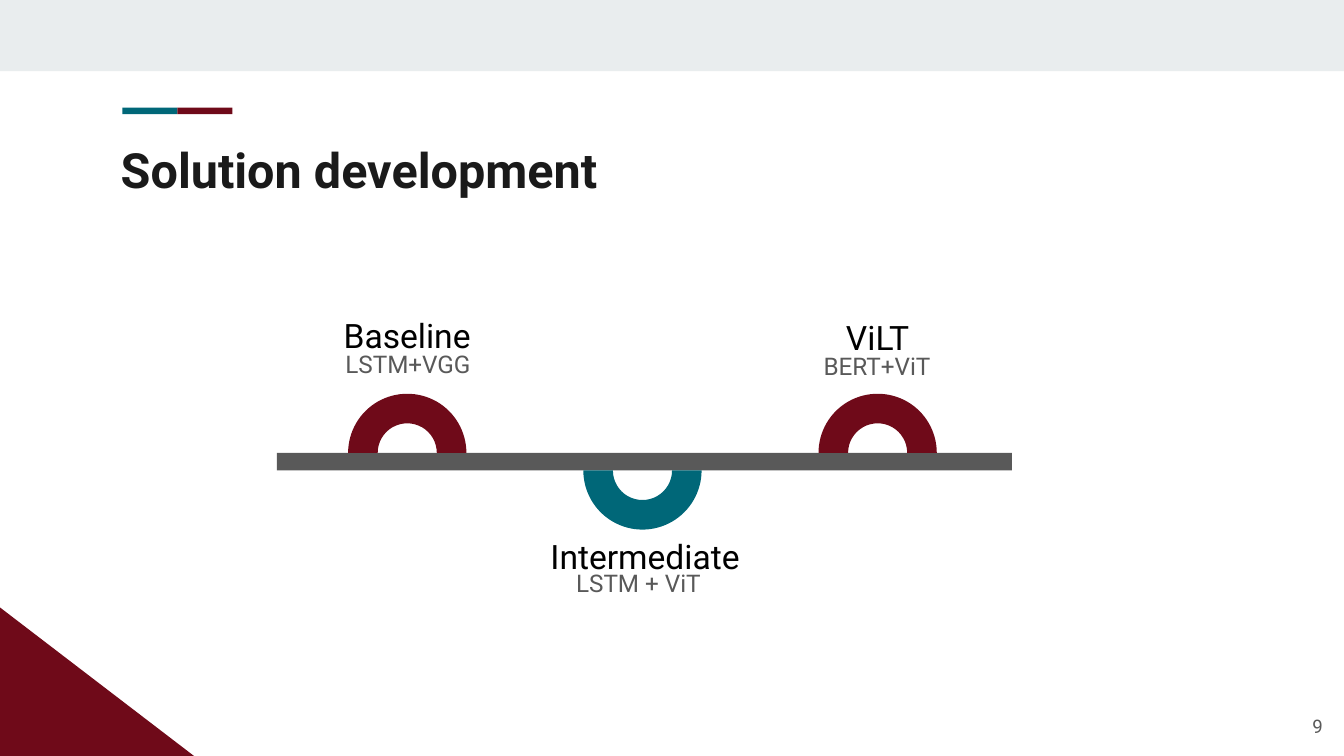
import dataclasses

import pptx
import pptx.dml.color
import pptx.enum.shapes
import pptx.enum.text
import pptx.util

Inches = pptx.util.Inches
Kind = pptx.enum.shapes.MSO_SHAPE
Align = pptx.enum.text.PP_ALIGN
Anchor = pptx.enum.text.MSO_ANCHOR

HUES = {
    "pale": "E9EDEE",
    "wine": "6F0A19",
    "teal": "006778",
    "gray": "595959",
    "dark": "1A1A1A",
    "black": "000000",
}


@dataclasses.dataclass
class Box:
    left: float
    top: float
    width: float
    height: float

    def spans(self) -> list:
        return [Inches(n) for n in dataclasses.astuple(self)]


@dataclasses.dataclass
class Label:
    text: str
    box: Box


@dataclasses.dataclass
class Stage:
    name: Label
    models: Label
    hue: str
    below: bool = False


def paint(hue: str) -> pptx.dml.color.RGBColor:
    return pptx.dml.color.RGBColor.from_string(HUES[hue])


def draw_shape(slide, kind, box: Box, hue: str, turn: float = 0) -> None:
    shape = slide.shapes.add_shape(kind, *box.spans())
    shape.shadow.inherit = False
    shape.fill.solid()
    shape.fill.fore_color.rgb = paint(hue)
    shape.line.fill.background()
    shape.rotation = turn


def draw_text(slide, label: Label, size: float, hue: str,
              align=Align.CENTER, anchor=Anchor.TOP, bold: bool = False) -> None:
    frame = slide.shapes.add_textbox(*label.box.spans()).text_frame
    inset = Inches(0.1)
    look = {
        "word_wrap": True,
        "vertical_anchor": anchor,
        "margin_left": inset,
        "margin_top": inset,
        "margin_right": inset,
        "margin_bottom": inset,
    }
    for key, value in look.items():
        setattr(frame, key, value)

    line = frame.paragraphs[0]
    line.alignment = align
    run = line.add_run()
    run.text = label.text
    style = {"name": "Roboto", "size": pptx.util.Pt(size), "bold": bold}
    for key, value in style.items():
        setattr(run.font, key, value)
    run.font.color.rgb = paint(hue)


BAR = Box(2.06, 3.37, 5.47, 0.13)
ARC = 0.88
FIRST, STEP = 3.03, 1.75  # arc centres along the bar

STAGES = [
    Stage(Label("Baseline", Box(1.73, 2.24, 2.6, 0.43)),
          Label("LSTM+VGG", Box(2.03, 2.5, 2.01, 0.63)), "wine"),
    Stage(Label("Intermediate", Box(3.35, 3.89, 2.9, 0.43)),
          Label("LSTM + ViT", Box(2.75, 4.13, 4, 0.59)), "teal", True),
    Stage(Label("ViLT", Box(5.08, 2.26, 2.9, 0.43)),
          Label("BERT+ViT", Box(5.52, 2.51, 2.01, 0.78)), "wine"),
]


def draw_arc(slide, stage: Stage, mid: float) -> None:
    # The flat side of each arc rests on an edge of the bar
    edge = BAR.top + (BAR.height if stage.below else 0)
    draw_shape(slide, Kind.BLOCK_ARC,
               Box(mid - ARC / 2, edge - ARC / 2, ARC, ARC),
               stage.hue, 180 if stage.below else 0)


def main() -> None:
    deck = pptx.Presentation()
    deck.slide_width = Inches(10)
    deck.slide_height = deck.slide_width * 9 // 16
    slide = deck.slides.add_slide(deck.slide_layouts[6])

    # Band, corner and two-tone accent
    draw_shape(slide, Kind.RECTANGLE, Box(0, 0, 10, 0.53), "pale")
    draw_shape(slide, Kind.RIGHT_TRIANGLE, Box(0, 4.52, 1.45, 1.11), "wine")
    for spot, hue in enumerate(("teal", "wine")):
        draw_shape(slide, Kind.RECTANGLE,
                   Box(0.91 + spot * 0.41, 0.8, 0.41, 0.05), hue)

    # Page number and title
    draw_text(slide, Label("9", Box(9.34, 5.19, 0.6, 0.43)), 10, "gray",
              Align.RIGHT, Anchor.MIDDLE)
    draw_text(slide, Label("Solution development", Box(0.8, 0.94, 8.41, 0.59)),
              26, "dark", Align.LEFT, bold=True)

    # Timeline: labels, bar, then arcs
    for stage in STAGES:
        draw_text(slide, stage.models, 13, "gray")
        draw_text(slide, stage.name, 18, "black")
    draw_shape(slide, Kind.RECTANGLE, BAR, "gray")
    for spot, stage in enumerate(STAGES):
        draw_arc(slide, stage, FIRST + spot * STEP)

    deck.save("out.pptx")


if __name__ == "__main__":
    main()
